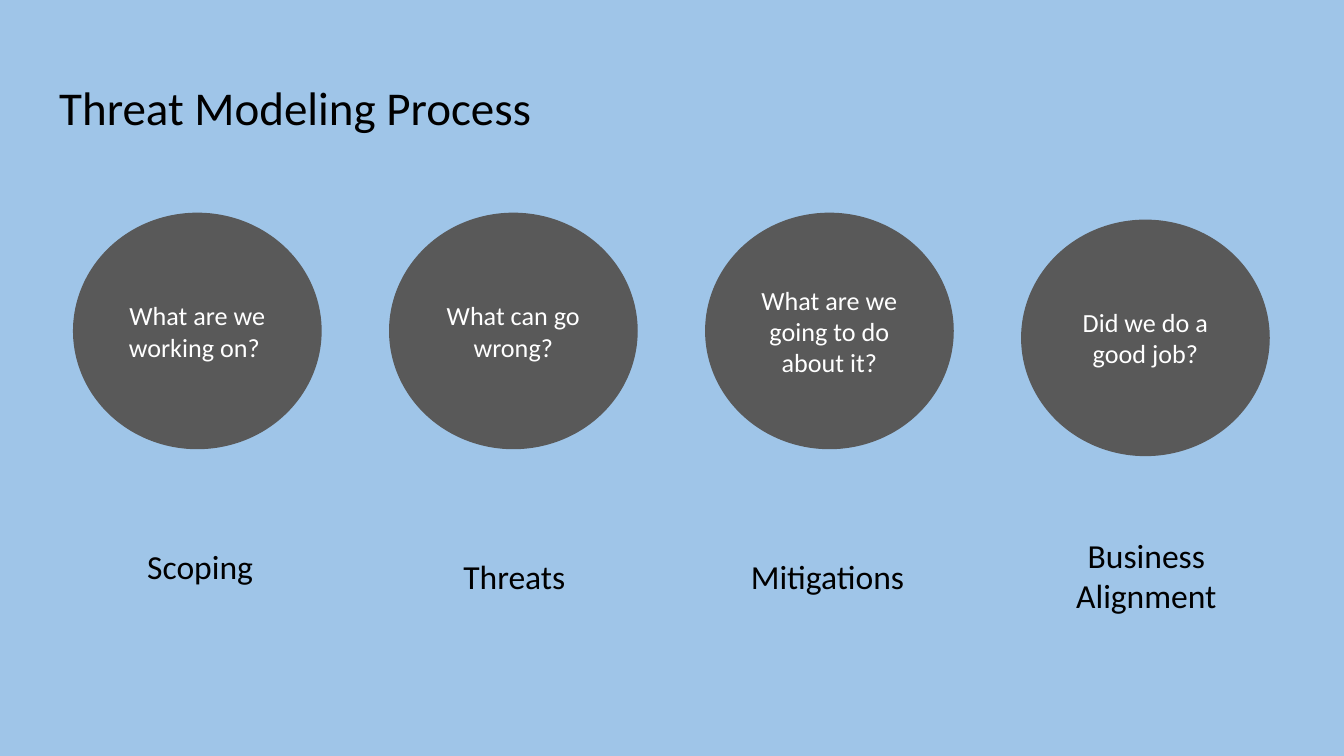
from pptx import Presentation
from pptx.dml.color import RGBColor
from pptx.enum.shapes import MSO_SHAPE as Shape
from pptx.enum.text import MSO_ANCHOR as Anchor, MSO_AUTO_SIZE as AutoSize, PP_ALIGN as Align
from pptx.util import Pt

SKY = RGBColor(0x9F, 0xC5, 0xE8)
GRAY = RGBColor(0x59, 0x59, 0x59)
BLACK = RGBColor(0, 0, 0)
WHITE = RGBColor(0xFF, 0xFF, 0xFF)

FIRST_LEFT, PITCH = 39.5, 169.3
STEP_WIDTH, CIRCLE_HEIGHT, LABEL_HEIGHT = 132.5, 126, 31

# question, circle top, label, label shift from its column, label top
STEPS = [
    ("What are we working on? ", 114.3, "Scoping", 1.5, 285.1),
    ("What can go wrong?", 114.3, "Threats", 0.5, 290.9),
    ("What are we going to do about it?", 114.3, "Mitigations", -1, 290.9),
    ("Did we do a good job?", 118, "Business Alignment", 0.5, 279.2),
]


def write(holder, text, size, color, align, anchor=Anchor.TOP):
    """Fill a shape with one formatted paragraph."""
    frame = holder.text_frame
    frame.text = text
    frame.word_wrap = True
    frame.auto_size = AutoSize.NONE
    frame.vertical_anchor = anchor
    frame.margin_left = frame.margin_right = Pt(7.2)
    frame.margin_top = frame.margin_bottom = Pt(7.2)
    paragraph = frame.paragraphs[0]
    paragraph.alignment = align
    paragraph.font.name = "Calibri"
    paragraph.font.size = Pt(size)
    paragraph.font.color.rgb = color


def add_title(slide, text):
    """Place the slide title in its placeholder."""
    title = slide.shapes.title
    title.left, title.top, title.width, title.height = Pt(24.5), Pt(35), Pt(671), Pt(45.1)
    write(title, text, 25.2, BLACK, Align.LEFT)


def add_question(slide, text, left, top):
    """Add a circle that asks the question of a step."""
    circle = slide.shapes.add_shape(
        Shape.OVAL, Pt(left), Pt(top), Pt(STEP_WIDTH), Pt(CIRCLE_HEIGHT))
    circle.shadow.inherit = False
    circle.fill.solid()
    circle.fill.fore_color.rgb = GRAY
    circle.line.color.rgb = GRAY
    circle.line.width = Pt(0.75)
    write(circle, text, 14, WHITE, Align.CENTER, Anchor.MIDDLE)


def add_label(slide, text, left, top):
    """Add the name of a step."""
    label = slide.shapes.add_textbox(Pt(left), Pt(top), Pt(STEP_WIDTH), Pt(LABEL_HEIGHT))
    write(label, text, 18, BLACK, Align.CENTER)


def main():
    """Build and save the slide."""
    deck = Presentation()
    deck.slide_width, deck.slide_height = Pt(720), Pt(405)
    slide = deck.slides.add_slide(deck.slide_layouts[5])
    slide.background.fill.solid()
    slide.background.fill.fore_color.rgb = SKY
    add_title(slide, "Threat Modeling Process")
    lefts = [FIRST_LEFT + column * PITCH for column in range(len(STEPS))]
    for left, (question, circle_top, *_) in zip(lefts, STEPS):
        add_question(slide, question, left, circle_top)
    for left, (*_, name, shift, label_top) in zip(lefts, STEPS):
        add_label(slide, name, left + shift, label_top)
    deck.save("out.pptx")


if __name__ == "__main__":
    main()
